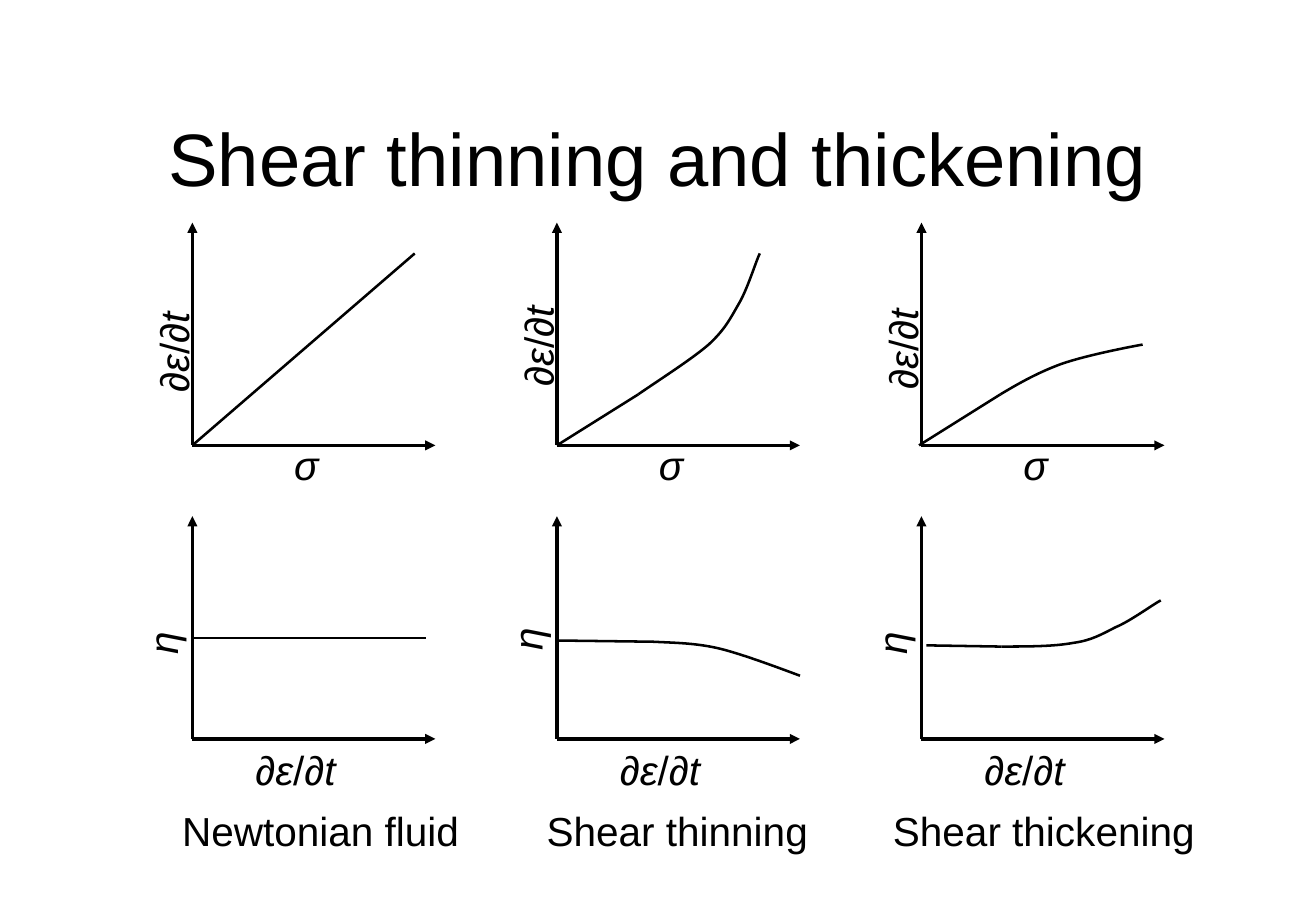
from math import cos, radians, sin

from lxml.etree import SubElement
from pptx import Presentation
from pptx.dml.color import RGBColor
from pptx.enum.shapes import MSO_CONNECTOR
from pptx.enum.text import MSO_ANCHOR, PP_ALIGN
from pptx.oxml.ns import qn
from pptx.util import Inches, Pt

COLORS = {"ink": "000000", "paper": "FFFFFF"}
INK = RGBColor.from_string(COLORS["ink"])
FONT = "Arial"
GRID = 1 / 12  # the axes sit on a grid of twelfths of an inch

# Labels as (text, italic) runs
RATE_UPRIGHT = [("∂", False), ("ε", True), ("/∂", False), ("t", True)]
RATE_SLANTED = [("∂ε", True), ("/∂", False), ("t", True)]
STRESS = [("σ", True)]
VISCOSITY = [("η", True)]

# Rows: origin height, labels as (runs, width, centre right of and above the origin)
FLOW_ROW = {"y": 44 * GRID, "x_label": (STRESS, 0.4, 0.94, -0.16),
            "y_label": (RATE_UPRIGHT, 1.2, -0.16)}
VISCOSITY_ROW = {"y": 73 * GRID, "x_label": (RATE_SLANTED, 1.2, 1.02, -0.25),
                 "y_label": (VISCOSITY, 0.4, -0.25)}

# Each plot: height of its vertical label, straight line, Bézier points that go on
# from it (all right of and above the origin), turn of the bend in degrees
FLUIDS = [
    {"caption": "Newtonian fluid", "left": 1.4, "width": 2.48,
     "flow": (0.94, [(0, 0), (1.83, 1.58)], [], 0),
     "viscosity": (0.8, [(0, 0.83), (1.92, 0.83)], [], 0)},
    {"caption": "Shear thinning", "left": 4.4, "width": 2.35,
     "flow": (0.99, [(0, 0), (0.67, 0.42)],
              [(0.89, 0.57), (1.11, 0.71), (1.25, 0.83),
               (1.39, 0.96), (1.43, 1.05), (1.5, 1.17),
               (1.57, 1.29), (1.64, 1.52), (1.67, 1.58)], 0),
     "viscosity": (0.83, [(0.01, 0.81), (0.79, 0.8)],
                   [(0.97, 0.79), (1.15, 0.79), (1.35, 0.74),
                    (1.55, 0.69), (1.89, 0.56), (2, 0.52)], 32.7)},
    {"caption": "Shear thickening", "left": 7.25, "width": 2.68,
     "flow": (0.96, [(-0.02, 0), (0.65, 0.42)],
              [(0.8, 0.51), (0.96, 0.6), (1.15, 0.67),
               (1.35, 0.74), (1.71, 0.81), (1.82, 0.83)], 0),
     "viscosity": (0.8, [(0.04, 0.77), (0.66, 0.76)],
                   [(0.88, 0.76), (1.09, 0.76), (1.25, 0.79),
                    (1.4, 0.81), (1.48, 0.86), (1.6, 0.92),
                    (1.72, 0.97), (1.91, 1.11), (1.97, 1.14)], 42.6)},
]


def add_runs(paragraph, runs, size):
    for text, italic in runs:
        run = paragraph.add_run()
        run.text = text
        run.font.name = FONT
        run.font.size = Pt(size)
        run.font.italic = italic
        run.font.color.rgb = INK


def add_label(slide, runs, left, top, width, rotation=0):
    shape = slide.shapes.add_textbox(Inches(left), Inches(top), Inches(width), Inches(0.5))
    shape.rotation = rotation
    shape.text_frame.word_wrap = False
    add_runs(shape.text_frame.paragraphs[0], runs, 24)


def add_line(slide, start, end, weight, arrow=None):
    ends = [Inches(value) for value in (*start, *end)]
    connector = slide.shapes.add_connector(MSO_CONNECTOR.STRAIGHT, *ends)
    connector.line.color.rgb = INK
    connector.line.width = Pt(weight)
    if arrow:
        SubElement(connector.line._get_or_add_ln(), qn(f"a:{arrow}"), type="triangle")
    SubElement(connector._element.spPr, qn("a:effectLst"))


def turn(point, pivot, degrees):
    x, y = point[0] - pivot[0], point[1] - pivot[1]
    cosine, sine = cos(radians(degrees)), sin(radians(degrees))
    return pivot[0] + x * cosine - y * sine, pivot[1] + x * sine + y * cosine


def add_curve(slide, points, rotation):
    # Outline in the frame before it is turned
    pivot = points[0]
    outline = [tuple(map(Inches, turn(point, pivot, -rotation))) for point in points]
    builder = slide.shapes.build_freeform(*outline[0])
    builder.add_line_segments(outline[1:], close=False)
    shape = builder.convert_to_shape()

    # Every three segments become one cubic Bézier
    segments = list(shape._element.iter(qn("a:lnTo")))
    for index in range(0, len(segments), 3):
        bezier = SubElement(segments[0].getparent() if index == 0 else bezier.getparent(),
                            qn("a:cubicBezTo"))
        for segment in segments[index:index + 3]:
            bezier.append(segment[0])
            segment.getparent().remove(segment)

    # Turn the frame about the first point
    middle = shape.left + shape.width / 2, shape.top + shape.height / 2
    center_x, center_y = turn(middle, outline[0], rotation)
    shape.left, shape.top = int(center_x - shape.width / 2), int(center_y - shape.height / 2)
    shape.rotation = rotation
    shape.shadow.inherit = False
    shape.fill.background()
    shape.line.color.rgb = INK
    shape.line.width = Pt(1.5)


def add_plot(slide, origin_x, row, plot):
    label_height, straight, bend, rotation = plot

    def place(point):
        return origin_x + point[0], row["y"] - point[1]

    # Axes
    origin = place((0, 0))
    add_line(slide, place((0, 22 * GRID)), origin, 2, arrow="headEnd")
    add_line(slide, origin, place((2, 0)), 2, arrow="tailEnd")

    # Axis labels
    runs, width, right = row["y_label"]
    x, y = place((right, label_height))
    add_label(slide, runs, x - width / 2, y - 0.25, width, rotation=270)
    runs, width, right, above = row["x_label"]
    x, y = place((right, above))
    add_label(slide, runs, x - width / 2, y - 0.25, width)

    # Straight line and bend
    start, end = map(place, straight)
    add_line(slide, start, end, 1.5)
    if bend:
        add_curve(slide, [end, *map(place, bend)], rotation)


def add_title(slide, left, top, width, height):
    title = slide.shapes.title
    title.left, title.top = Inches(left), Inches(top)
    title.width, title.height = Inches(width), Inches(height)
    title.text_frame.word_wrap = True
    title.text_frame.vertical_anchor = MSO_ANCHOR.MIDDLE
    paragraph = title.text_frame.paragraphs[0]
    paragraph.alignment = PP_ALIGN.CENTER
    add_runs(paragraph, [("Shear thinning and thickening", False)], 44)


def main():
    presentation = Presentation()
    presentation.slide_width, presentation.slide_height = Inches(10.83), Inches(7.5)
    slide = presentation.slides.add_slide(presentation.slide_layouts[5])
    slide.background.fill.solid()
    slide.background.fill.fore_color.rgb = RGBColor.from_string(COLORS["paper"])
    add_title(slide, 0.81, 0.67, 9.21, 1.25)

    # One column for each kind of fluid
    for column, fluid in enumerate(FLUIDS):
        origin_x = 19 * GRID + 3 * column
        add_plot(slide, origin_x, FLOW_ROW, fluid["flow"])
        add_plot(slide, origin_x, VISCOSITY_ROW, fluid["viscosity"])
        add_label(slide, [(fluid["caption"], False)], fluid["left"], 79 * GRID, fluid["width"])

    presentation.save("out.pptx")


if __name__ == "__main__":
    main()
